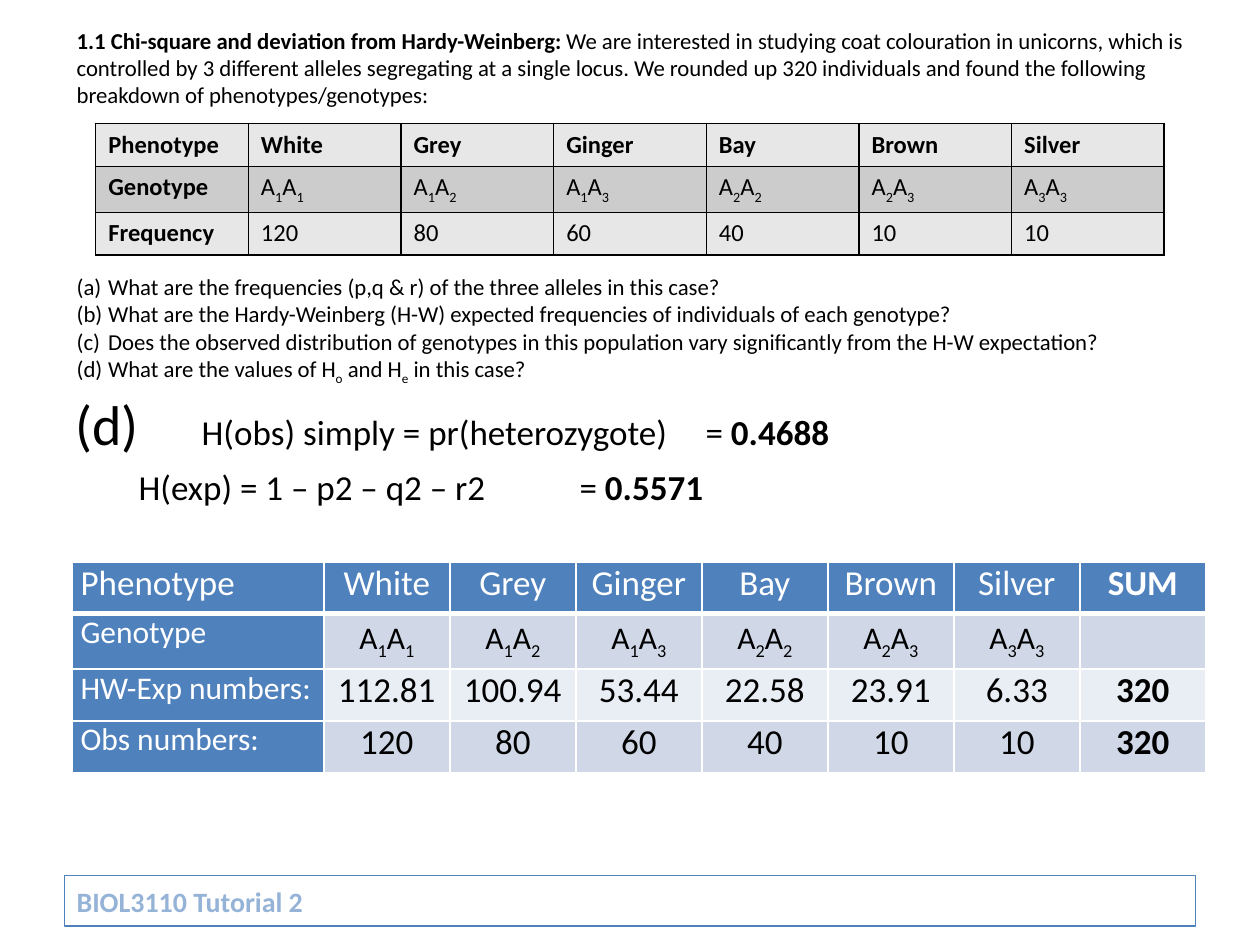
import pptx
import pptx.util
import pptx.dml.color
import pptx.enum.text
import pptx.enum.shapes
import pptx.oxml
import pptx.oxml.ns
import lxml.etree

Inches, Pt = pptx.util.Inches, pptx.util.Pt
RGBColor = pptx.dml.color.RGBColor
ALIGN, ANCHOR = pptx.enum.text.PP_ALIGN, pptx.enum.text.MSO_ANCHOR
qn = pptx.oxml.ns.qn

BLACK = RGBColor(0x00, 0x00, 0x00)
WHITE = RGBColor(0xFF, 0xFF, 0xFF)
BLUE = RGBColor(0x4F, 0x81, 0xBD)
SKY = RGBColor(0x95, 0xB3, 0xD7)
MIST = RGBColor(0xD0, 0xD8, 0xE8)
PALE = RGBColor(0xE9, 0xED, 0xF4)
LIGHT = RGBColor(0xE7, 0xE7, 0xE7)
GREY = RGBColor(0xCC, 0xCC, 0xCC)


def write(par, text, size, color=BLACK, bold=False):
    """Write text whose subscripts stand between underscores."""
    par.font.name, par.font.size, par.font.bold = "Calibri", Pt(size), bold
    par.font.color.rgb = color
    for i, part in enumerate(text.split("_")):
        if part:
            run = par.add_run()
            run.text = part
            if i % 2:
                run.font._element.set("baseline", "-25000")


def dress(cell, back, edge, top=1, bottom=1):
    """Give a table cell its borders and its fill."""
    props = cell._tc.get_or_add_tcPr()
    for side, width in (("L", 1), ("R", 1), ("T", top), ("B", bottom)):
        line = lxml.etree.SubElement(props, qn("a:ln" + side), w=str(Pt(width)))
        paint = lxml.etree.SubElement(line, qn("a:solidFill"))
        lxml.etree.SubElement(paint, qn("a:srgbClr"), val=str(edge))
    cell.fill.solid()
    cell.fill.fore_color.rgb = back


deck = pptx.Presentation()
deck.slide_width, deck.slide_height = Inches(10), Inches(7.5)
slide = deck.slides.add_slide(deck.slide_layouts[1])
title = slide.shapes.title
title._element.getparent().remove(title._element)

# Question text, with a gap for the table
box = slide.shapes.add_textbox(Inches(0.51), Inches(0.16), Inches(8.98), Inches(3.18))
frame = box.text_frame
frame.word_wrap = True
intro = frame.paragraphs[0]
write(intro, "1.1 Chi-square and deviation from Hardy-Weinberg:", 13)
intro.runs[0].font.bold = True
write(intro, " We are interested in studying coat colouration in unicorns, which is "
      "controlled by 3 different alleles segregating at a single locus. We rounded up "
      "320 individuals and found the following breakdown of phenotypes/genotypes:", 13)
tasks = [
    "What are the frequencies (p,q & r) of the three alleles in this case?",
    "What are the Hardy-Weinberg (H-W) expected frequencies of individuals of each genotype?",
    "Does the observed distribution of genotypes in this population vary significantly "
    "from the H-W expectation?",
    "What are the values of H_o_ and H_e_ in this case?",
]
for i, task in enumerate(tasks):
    par = frame.add_paragraph()
    props = par._p.get_or_add_pPr()
    props.set("marL", str(Inches(0.25)))
    props.set("indent", str(Inches(-0.25)))
    par.space_before = Pt(0 if i else 94)
    lxml.etree.SubElement(props, qn("a:buAutoNum"), type="alphaLcParenBoth")
    write(par, task, 13)

# Data shared by both tables
coats = ["White", "Grey", "Ginger", "Bay", "Brown", "Silver"]
genes = [f"A_{i}_A_{j}_" for i in range(1, 4) for j in range(i, 4)]
counts = ["120", "80", "60", "40", "10", "10"]

# Observed table
rows = [["Phenotype"] + coats, ["Genotype"] + genes, ["Frequency"] + counts]
table = slide.shapes.add_table(3, 7, Inches(0.76), Inches(0.98),
                               Inches(8.48), Inches(1.02)).table
table.first_row = table.horz_banding = False
for r, row in enumerate(rows):
    for c, text in enumerate(row):
        cell = table.cell(r, c)
        dress(cell, GREY if r == 1 else LIGHT, BLACK)
        write(cell.text_frame.paragraphs[0], text, 14, bold=r == 0 or c == 0)

# Footer bar
bar = slide.shapes.add_shape(pptx.enum.shapes.MSO_SHAPE.RECTANGLE, Inches(0.51),
                             Inches(6.95), Inches(8.98), Inches(0.4))
bar.shadow.inherit = False
bar.fill.solid()
bar.fill.fore_color.rgb = WHITE
bar.line.color.rgb = BLUE
bar.line.width = Pt(0.75)
bar.text_frame.vertical_anchor = ANCHOR.MIDDLE
label = bar.text_frame.paragraphs[0]
label.alignment = ALIGN.LEFT
write(label, "BIOL3110 Tutorial 2", 16, SKY, True)

# Answer (d)
body = slide.placeholders[1]
body.left, body.top, body.width, body.height = map(Inches, (0.5, 3.04, 9, 3.5))
frame = body.text_frame
frame.auto_size = pptx.enum.text.MSO_AUTO_SIZE.NONE
answers = [("(d) \t", "H(obs) simply = pr(heterozygote)\t= ", "0.4688"),
           ("\t", "H(exp) = 1 – p2 – q2 – r2\t\t= ", "0.5571")]
for i, (mark, claim, value) in enumerate(answers):
    par = frame.add_paragraph() if i else frame.paragraphs[0]
    props = par._p.get_or_add_pPr()
    props.set("marL", "0")
    props.set("indent", "0")
    par.space_before = Pt(5 * i)
    lxml.etree.SubElement(props, qn("a:buNone"))
    stops = lxml.etree.SubElement(props, qn("a:tabLst"))
    for stop in (1, 4, 5):
        lxml.etree.SubElement(stops, qn("a:tab"), pos=str(Inches(stop)), algn="l")
    for text in (mark, claim, value):
        write(par, text, 20)
    par.runs[-1].font.bold = True
    if i == 0:
        par.runs[0].font.size = Pt(32)

# Expected and observed table
rows = [["Phenotype"] + coats + ["SUM"],
        ["Genotype"] + genes + [""],
        ["HW-Exp numbers:", "112.81", "100.94", "53.44", "22.58", "23.91", "6.33", "320"],
        ["Obs numbers:"] + counts + ["320"]]
table = slide.shapes.add_table(4, 8, Inches(0.57), Inches(4.46),
                               Inches(9), Inches(1.66)).table
table.first_row = table.horz_banding = False
for c, col in enumerate(table.columns):
    col.width = Inches(1 if c else 2)
for r, row in enumerate(rows):
    table.rows[r].height = Inches(0.42 if r == 1 else 0.41)
    for c, text in enumerate(row):
        cell = table.cell(r, c)
        head = r == 0 or c == 0
        back = BLUE if head else PALE if r == 2 else MIST
        dress(cell, back, WHITE, 3 if r == 1 else 1, 3 if r == 0 else 1)
        if r != 1 or c == 0:
            cell.margin_left = cell.margin_right = Inches(0.07)
            cell.margin_top = cell.margin_bottom = 0
        par = cell.text_frame.paragraphs[0]
        par.alignment = ALIGN.CENTER if c else ALIGN.LEFT
        small = r == 1 or (c == 0 and r > 0)
        write(par, text, 18 if small else 20, WHITE if head else BLACK, c == 7)

deck.save("out.pptx")
